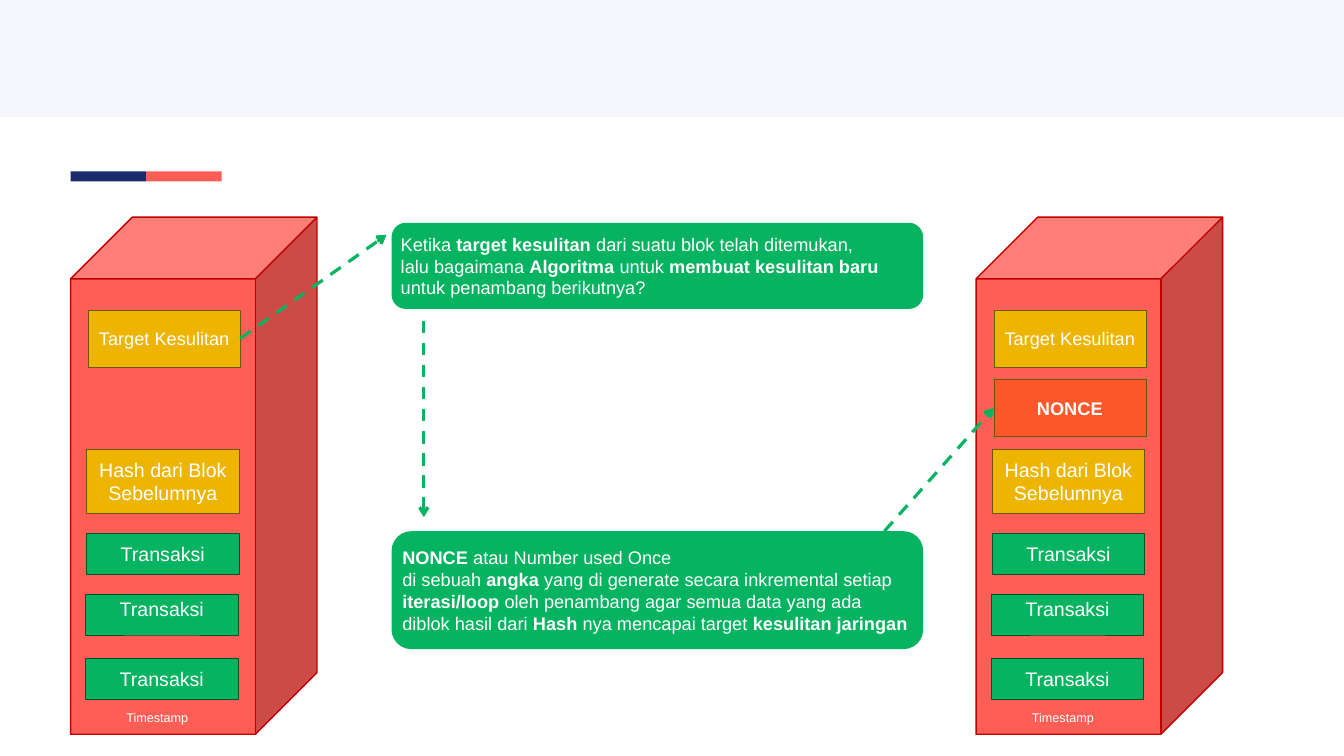
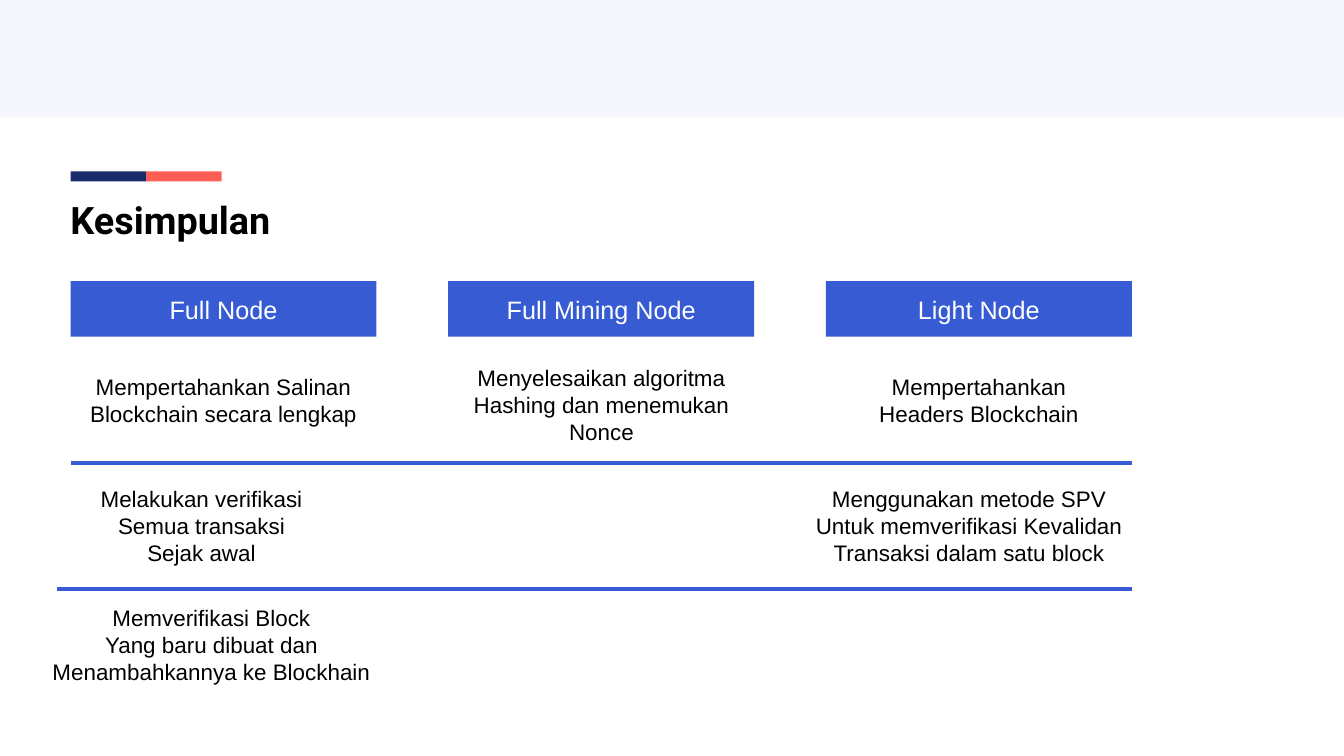
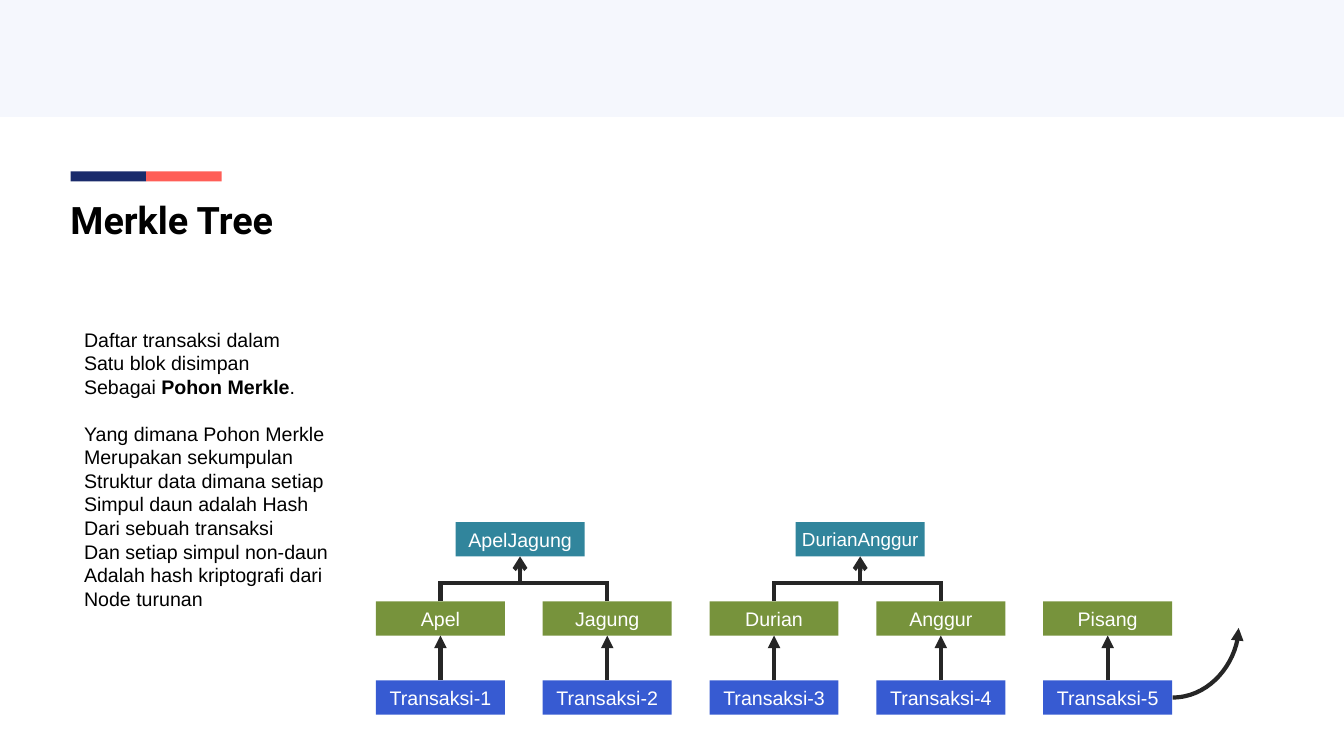
from lxml import etree
from pptx import Presentation
from pptx import util as u
from pptx.dml import color
from pptx.enum import dml, shapes, text
from pptx.oxml import ns

WIDTH, HEIGHT = 26.67, 15
NAVY, CORAL, GREEN, AMBER, BLUE = "1A2B6B", "FF5E57", "05B360", "EEB500", "375BD2"
OLIVE, TEAL, INK, WHITE, BLACK = "77933C", "31859C", "262626", "FFFFFF", "000000"
RECT, ROUND, CUBE = (shapes.MSO_SHAPE.RECTANGLE, shapes.MSO_SHAPE.ROUNDED_RECTANGLE,
                     shapes.MSO_SHAPE.CUBE)
LEFT, CENTER = text.PP_ALIGN.LEFT, text.PP_ALIGN.CENTER
MARGIN = 1.4
SIDE_TOP, SIDE_LEFT, SIDE_BOTTOM, SIDE_RIGHT = range(4)

BLOCK_LEFTS = {"before": MARGIN, "after": 19.37}
BLOCK_FIELDS = [
    (["Transaksi"], 0.3, 13.07, 0.8, GREEN, "02522C", 28, 0.05),
    (["Transaksi"], 0.3, 11.8, 0.8, GREEN, "02522C", 28, 0.29),
    (["Transaksi"], 0.32, 10.59, 0.8, GREEN, "02522C", 28, 0.05),
    (["Hash dari Blok", "Sebelumnya"], 0.32, 8.91, 1.27, AMBER, "705500", 28, 0.05),
    (["Target Kesulitan"], 0.35, 6.15, 1.13, AMBER, "705500", 26, 0.05),
]
FIELD_WIDTH = 3.02
EXPLANATIONS = [
    (4.42, 1.71, [
        "Ketika **target kesulitan **dari suatu blok telah ditemukan,",
        "lalu bagaimana **Algoritma **untuk **membuat kesulitan baru **untuk penambang berikutnya?"]),
    (10.54, 2.34, [
        "**NONCE **atau Number used Once",
        "di sebuah **angka** yang di generate secara inkremental setiap **iterasi/loop **"
        "oleh penambang agar semua data yang ada diblok hasil dari **Hash **"
        "nya mencapai target **kesulitan jaringan**"]),
]

NODE_TYPES = ["Full Node", "Full Mining Node", "Light Node"]
NODE_WIDTH, NODE_PITCH = 6.07, 7.495
NODE_DUTIES = [
    (1.67, 7.35, 5.53, ["Mempertahankan Salinan", "Blockchain secara lengkap"]),
    (9.28, 7.18, 5.31, ["Menyelesaikan algoritma", "Hashing dan menemukan", "Nonce"]),
    (17.33, 7.35, 4.19, ["Mempertahankan", "Headers Blockchain"]),
    (1.88, 9.58, 4.24, ["Melakukan verifikasi", "Semua transaksi", "Sejak awal"]),
    (16, 9.58, 6.46, ["Menggunakan metode SPV", "Untuk memverifikasi Kevalidan",
                      "Transaksi dalam satu block"]),
    (0.92, 11.94, 6.55, ["Memverifikasi Block", "Yang baru dibuat dan",
                         "Menambahkannya ke Blockhain"]),
]
ROW_RULES = [(MARGIN, 9.19), (1.13, 11.69)]

MERKLE_NOTES = [
    (6.45, 4.44, ["Daftar transaksi dalam", "Satu blok disimpan", "Sebagai **Pohon Merkle**."]),
    (8.32, 5.1, ["Yang dimana Pohon Merkle", "Merupakan sekumpulan", "Struktur data dimana setiap",
                 "Simpul daun adalah Hash", "Dari sebuah transaksi", "Dan setiap simpul non-daun",
                 "Adalah hash kriptografi dari", "Node turunan"]),
]
LEAVES = ["Apel", "Jagung", "Durian", "Anggur", "Pisang"]
PARENTS = [("ApelJagung", 9.04, 28, 0, 1), ("DurianAnggur", 15.79, 27, 2, 3)]
LEAF_LEFT, LEAF_PITCH, LEAF_WIDTH, LEAF_HEIGHT = 7.46, 3.31, 2.56, 0.68
PARENT_TOP, BRACKET_TOP, LEAF_TOP, TRANSACTION_TOP = 10.36, 11.57, 11.93, 13.5


def rgb(hex_code):
    return color.RGBColor.from_string(hex_code)


def inches(*lengths):
    return [u.Inches(length) for length in lengths]


def write(frame, lines, size, ink, align=CENTER, font="Arial", **frame_format):
    for name, value in frame_format.items():
        setattr(frame, name, value)
    for number, line in enumerate(lines):
        paragraph = frame.add_paragraph() if number else frame.paragraphs[0]
        paragraph.alignment = align
        for part, words in enumerate(line.split("**")):
            if words:
                run = paragraph.add_run()
                run.text = words
                run.font.color.rgb = rgb(ink)
                style = {"size": u.Pt(size), "name": font, "bold": part % 2 == 1}
                for name, value in style.items():
                    setattr(run.font, name, value)


def add_block(parent, kind, box, fill, outline=None, outline_width=0.75):
    block = parent.add_shape(kind, *inches(*box))
    block.shadow.inherit = False
    block.fill.solid()
    block.fill.fore_color.rgb = rgb(fill)
    if outline:
        block.line.color.rgb = rgb(outline)
        block.line.width = u.Pt(outline_width)
    else:
        block.line.fill.background()
    return block


def add_label(parent, box, fill, lines, size, outline=None, kind=RECT, align=CENTER, bottom=0.05):
    label = add_block(parent, kind, box, fill, outline)
    write(label.text_frame, lines, size, WHITE, align, word_wrap=True,
          vertical_anchor=text.MSO_ANCHOR.MIDDLE, margin_bottom=u.Inches(bottom))
    return label


def add_note(parent, box, lines, size, ink=BLACK, align=LEFT, font="Arial", wrap=False):
    note = parent.add_textbox(*inches(*box))
    write(note.text_frame, lines, size, ink, align, font, word_wrap=wrap)


def add_line(slide, start, end, ink, width, head=None, dashed=False,
             kind=shapes.MSO_CONNECTOR.STRAIGHT):
    line = slide.shapes.add_connector(kind, *inches(*start, *end))
    line.line.color.rgb = rgb(ink)
    line.line.width = u.Pt(width)
    if dashed:
        line.line.dash_style = dml.MSO_LINE.DASH
    if head:
        etree.SubElement(line.line._get_or_add_ln(), ns.qn("a:tailEnd"), type=head)
    etree.SubElement(line._element.spPr, ns.qn("a:effectLst"))
    return line


def add_page(deck, title=None):
    slide = deck.slides.add_slide(deck.slide_layouts[6])
    bands = [((0, 0, WIDTH, 2.32), "F5F7FD"), ((MARGIN, 3.4, 1.5, 0.2), NAVY),
             ((MARGIN + 1.5, 3.4, 1.5, 0.2), CORAL)]
    for box, fill in bands:
        add_block(slide.shapes, RECT, box, fill)
    if title:
        add_note(slide.shapes, (1.3, 3.85, 19.89, 1.49), [f"**{title}**"], 54,
                 font="Roboto", wrap=True)
    return slide


def add_chain_block(slide, left):
    group = slide.shapes.add_group_shape().shapes
    add_block(group, CUBE, (left, 4.31, 4.89, 10.26), CORAL, "C00000", 2)
    for lines, indent, top, height, fill, outline, size, bottom in BLOCK_FIELDS:
        target = add_label(group, (left + indent, top, FIELD_WIDTH, height), fill, lines, size,
                           outline, bottom=bottom)
    add_note(group, (left + 1.01, 14.03, 1.44, 0.4), ["Timestamp"], 18, WHITE)
    return target


def build_nonce(deck):
    slide = add_page(deck)
    targets = {name: add_chain_block(slide, left) for name, left in BLOCK_LEFTS.items()}
    for top, height, lines in EXPLANATIONS:
        add_label(slide.shapes, (7.77, top, 10.55, height), GREEN, lines, 26,
                  kind=ROUND, align=LEFT)
    nonce = add_label(slide.shapes, (BLOCK_LEFTS["after"] + 0.35, 7.53, FIELD_WIDTH, 1.13),
                      "FD582B", ["**NONCE**"], 26, "705500")
    steps = [((4.77, 6.75), (7.67, 4.66)), ((8.41, 6.36), (8.41, 10.26)),
             ((17.55, 10.54), (19.67, 8.09))]
    question, _, answer = [add_line(slide, *step, GREEN, 4.5, "arrow", True) for step in steps]
    question.begin_connect(targets["before"], SIDE_RIGHT)
    answer.end_connect(nonce, SIDE_LEFT)


def build_summary(deck):
    slide = add_page(deck, "Kesimpulan")
    for column, node in enumerate(NODE_TYPES):
        add_label(slide.shapes, (MARGIN + column * NODE_PITCH, 5.58, NODE_WIDTH, 1.1), BLUE,
                  [node], 36)
    for left, top, width, lines in NODE_DUTIES:
        add_note(slide.shapes, (left, top, width, 0.1 + 0.54 * len(lines)), lines, 32,
                 align=CENTER)
    for left, top in ROW_RULES:
        add_line(slide, (left, top), (22.46, top), BLUE, 6)


def build_merkle(deck):
    slide = add_page(deck, "Merkle Tree")
    for top, width, lines in MERKLE_NOTES:
        add_note(slide.shapes, (1.57, top, width, 0.1 + 0.47 * len(lines)), lines, 28)
    centers = []
    for column, leaf in enumerate(LEAVES):
        left = LEAF_LEFT + column * LEAF_PITCH
        centers.append(left + LEAF_WIDTH / 2)
        transaction, fruit = [
            add_label(slide.shapes, (left, top, LEAF_WIDTH, LEAF_HEIGHT), fill, [name], 28)
            for top, fill, name in [(TRANSACTION_TOP, BLUE, f"Transaksi-{column + 1}"),
                                    (LEAF_TOP, OLIVE, leaf)]]
        arrow = add_line(slide, (centers[-1], TRANSACTION_TOP),
                         (centers[-1], LEAF_TOP + LEAF_HEIGHT), INK, 6, "triangle")
        arrow.begin_connect(transaction, SIDE_TOP)
        arrow.end_connect(fruit, SIDE_BOTTOM)
    for name, left, size, first, last in PARENTS:
        parent = add_label(slide.shapes, (left, PARENT_TOP, LEAF_WIDTH, LEAF_HEIGHT), TEAL,
                           [name], size)
        for child in (first, last):
            add_line(slide, (centers[child], LEAF_TOP), (centers[child], BRACKET_TOP - 0.04),
                     INK, 6)
        add_line(slide, (centers[first], BRACKET_TOP), (centers[last], BRACKET_TOP), INK, 6)
        middle = left + LEAF_WIDTH / 2
        stem = add_line(slide, (middle, BRACKET_TOP), (middle, PARENT_TOP + LEAF_HEIGHT),
                        INK, 6, "arrow")
        stem.end_connect(parent, SIDE_BOTTOM)
    onward = add_line(slide, (23.27, 13.84), (24.58, 12.46), INK, 6, "triangle",
                      kind=shapes.MSO_CONNECTOR.CURVE)
    onward._element.spPr.find(ns.qn("a:prstGeom")).set("prst", "curvedConnector2")


def main():
    deck = Presentation()
    deck.slide_width, deck.slide_height = inches(WIDTH, HEIGHT)
    for build in (build_nonce, build_summary, build_merkle):
        build(deck)
    deck.save("out.pptx")


if __name__ == "__main__":
    main()
